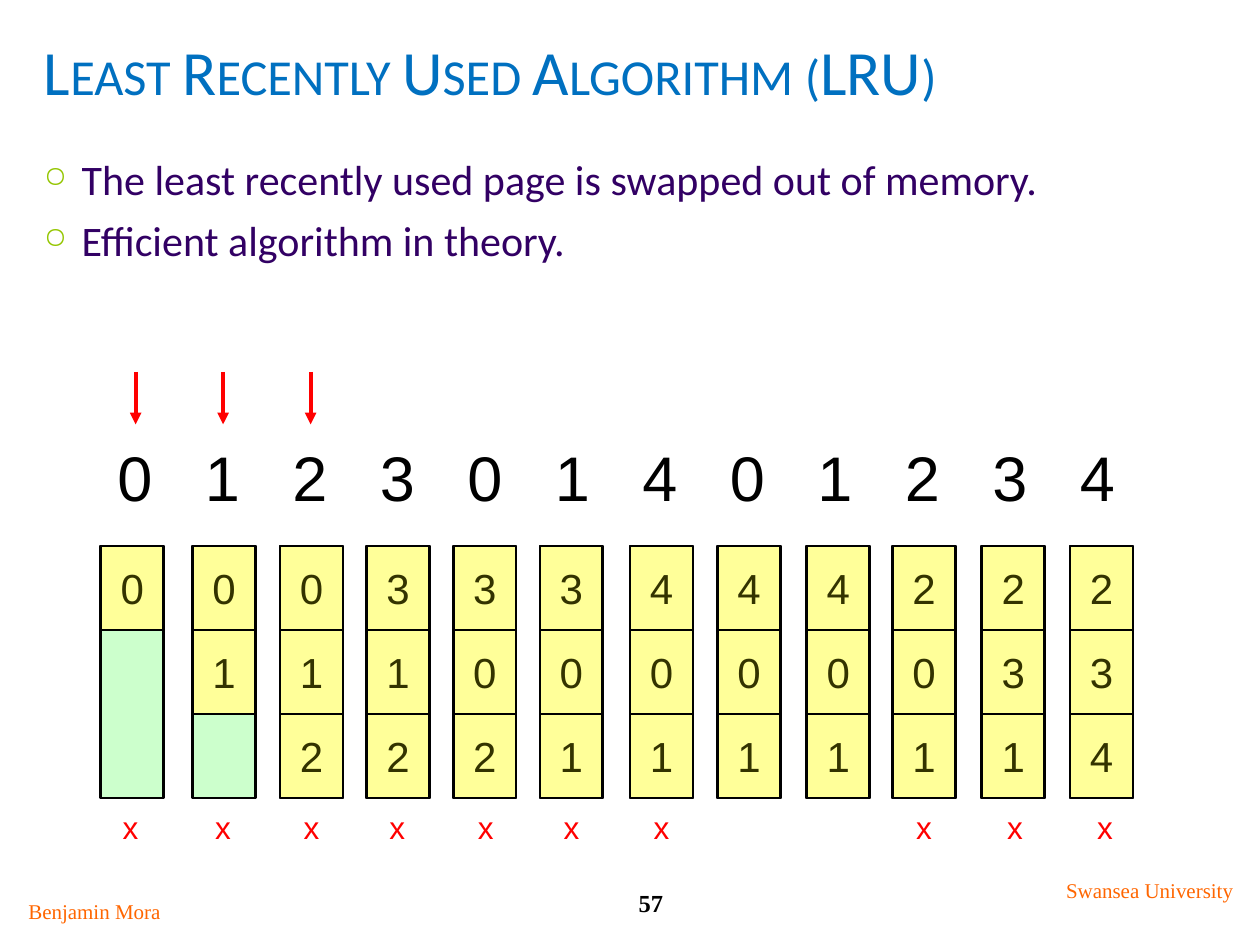
"""Build the slide that traces the Least Recently Used page replacement algorithm."""
from dataclasses import dataclass
from typing import Optional

from lxml.etree import SubElement
from pptx import Presentation
from pptx.dml.color import RGBColor
from pptx.enum.shapes import MSO_CONNECTOR, MSO_SHAPE
from pptx.enum.text import MSO_ANCHOR, PP_ALIGN
from pptx.oxml.ns import qn
from pptx.util import Pt


@dataclass(frozen=True)
class TextStyle:
    font: str
    size: float
    color: str
    bold: bool = False
    small_caps: bool = False


@dataclass(frozen=True)
class Theme:
    title: TextStyle = TextStyle("Calibri", 36, "0070C0", small_caps=True)
    body: TextStyle = TextStyle("Calibri", 24, "320064")
    request: TextStyle = TextStyle("Arial", 36, "000000")
    frame: TextStyle = TextStyle("Arial", 24, "333300")
    fault: TextStyle = TextStyle("Arial", 18, "FF0000")
    footer: TextStyle = TextStyle("Times New Roman", 12, "FF6600")
    number: TextStyle = TextStyle("Times New Roman", 14, "000000", bold=True)
    bullet: str = "94C600"
    free: str = "CCFFCC"
    loaded: str = "FFFF99"
    outline: str = "000000"
    arrow: str = "FF0000"


@dataclass(frozen=True)
class Area:
    left: float
    top: float
    width: float
    height: float

    def lengths(self) -> list:
        return [Pt(value) for value in (self.left, self.top, self.width, self.height)]


@dataclass(frozen=True)
class Label:
    text: str
    area: Area
    style: TextStyle
    align: PP_ALIGN = PP_ALIGN.CENTER
    inset_top: float = 3.6


@dataclass(frozen=True)
class Memory:
    left: float
    pages: str
    fault_left: Optional[float] = None


THEME = Theme()
REQUESTS = "012301401234"
REQUEST_PITCH = 50
MEMORY_TOP = 312
FRAME_WIDTH = 36
FRAME_HEIGHT = 48
FRAME_COUNT = 3
FAULT_TOP = 456
ARROW_LEFT = 77.5
ARROW_TOP = 212.5
ARROW_LENGTH = 30
ARROW_COUNT = 3

LABELS = [
    Label("Least Recently Used Algorithm (LRU)", Area(18, 12, 684, 66),
          THEME.title, PP_ALIGN.LEFT, 6.5),
    Label("57", Area(324, 504, 96, 24), THEME.number),
    Label("Benjamin Mora", Area(6, 510, 96, 21.6), THEME.footer),
    Label("Swansea University", Area(600, 498, 114, 21.6), THEME.footer),
]
POINTS = [
    "The least recently used page is swapped out of memory.",
    "Efficient algorithm in theory.",
]
MEMORIES = [
    Memory(57.6, "0", 50.5),
    Memory(110, "01", 103.5),
    Memory(160, "012", 154),
    Memory(209.5, "312", 203),
    Memory(259, "302", 253.5),
    Memory(308.5, "301", 302.5),
    Memory(360, "401", 354),
    Memory(410, "401"),
    Memory(461, "401"),
    Memory(510, "201", 504),
    Memory(561, "231", 556),
    Memory(611.5, "234", 607.5),
]


def add_span(para, text: str, style: TextStyle) -> None:
    span = para.add_run()
    span.text = text
    span.font.name = style.font
    span.font.size = Pt(style.size)
    span.font.bold = style.bold
    span.font.color.rgb = RGBColor.from_string(style.color)
    if style.small_caps:
        span.font._element.set("cap", "small")


def add_box(shapes, area: Area, inset_top: float = 3.6):
    box = shapes.add_textbox(*area.lengths())
    box.text_frame.word_wrap = True
    box.text_frame.margin_top = Pt(inset_top)
    return box


def add_label(shapes, label: Label):
    box = add_box(shapes, label.area, label.inset_top)
    para = box.text_frame.paragraphs[0]
    para.alignment = label.align
    add_span(para, label.text, label.style)
    return box


def add_bullet(para) -> None:
    properties = para._p.get_or_add_pPr()
    properties.set("marL", str(Pt(21.6)))
    properties.set("indent", str(Pt(-21.6)))
    color = SubElement(properties, qn("a:buClr"))
    SubElement(color, qn("a:srgbClr"), val=THEME.bullet)
    SubElement(properties, qn("a:buSzPct"), val="70000")
    SubElement(properties, qn("a:buChar"), char="○")


def add_points(shapes) -> None:
    frame = add_box(shapes, Area(18, 84, 696, 414)).text_frame
    for index, point in enumerate(POINTS):
        para = frame.add_paragraph() if index else frame.paragraphs[0]
        add_bullet(para)
        if index:
            para.space_before = Pt(6)
        add_span(para, point, THEME.body)


def add_requests(shapes) -> None:
    label = Label("\t".join(REQUESTS), Area(60, 243.5, 594, 50.4),
                  THEME.request, PP_ALIGN.LEFT, 7.2)
    para = add_label(shapes, label).text_frame.paragraphs[0]
    stops = SubElement(para._p.get_or_add_pPr(), qn("a:tabLst"))
    for index in range(1, len(REQUESTS)):
        SubElement(stops, qn("a:tab"), pos=str(Pt(index * REQUEST_PITCH)), algn="l")


def add_block(shapes, area: Area, color: str):
    block = shapes.add_shape(MSO_SHAPE.RECTANGLE, *area.lengths())
    block.shadow.inherit = False
    block.fill.solid()
    block.fill.fore_color.rgb = RGBColor.from_string(color)
    block.line.color.rgb = RGBColor.from_string(THEME.outline)
    block.line.width = Pt(1.5)
    return block


def add_memory(shapes, memory: Memory) -> None:
    group = shapes.add_group_shape().shapes
    whole = Area(memory.left, MEMORY_TOP, FRAME_WIDTH, FRAME_COUNT * FRAME_HEIGHT)
    add_block(group, whole, THEME.free)
    for row, number in enumerate(memory.pages):
        top = MEMORY_TOP + row * FRAME_HEIGHT
        block = add_block(group, Area(memory.left, top, FRAME_WIDTH, FRAME_HEIGHT), THEME.loaded)
        block.text_frame.word_wrap = False
        block.text_frame.vertical_anchor = MSO_ANCHOR.MIDDLE
        para = block.text_frame.paragraphs[0]
        para.alignment = PP_ALIGN.CENTER
        add_span(para, number, THEME.frame)
    if memory.fault_left is not None:
        area = Area(memory.fault_left, FAULT_TOP, 48, 28.8)
        add_label(shapes, Label("x", area, THEME.fault, inset_top=5.5))


def add_arrow(shapes, left: float) -> None:
    ends = [Pt(value) for value in (left, ARROW_TOP, left, ARROW_TOP + ARROW_LENGTH)]
    arrow = shapes.add_connector(MSO_CONNECTOR.STRAIGHT, *ends)
    arrow.line.color.rgb = RGBColor.from_string(THEME.arrow)
    arrow.line.width = Pt(2.25)
    SubElement(arrow.line._get_or_add_ln(), qn("a:tailEnd"), type="triangle")
    SubElement(arrow._element.spPr, qn("a:effectLst"))


def main() -> None:
    deck = Presentation()
    deck.slide_width, deck.slide_height = Pt(720), Pt(540)
    page = deck.slides.add_slide(deck.slide_layouts[6])
    for label in LABELS:
        add_label(page.shapes, label)
    add_points(page.shapes)
    add_requests(page.shapes)
    for memory in MEMORIES:
        add_memory(page.shapes, memory)
    for index in range(ARROW_COUNT):
        add_arrow(page.shapes, ARROW_LEFT + index * REQUEST_PITCH)
    deck.save("out.pptx")


if __name__ == "__main__":
    main()
